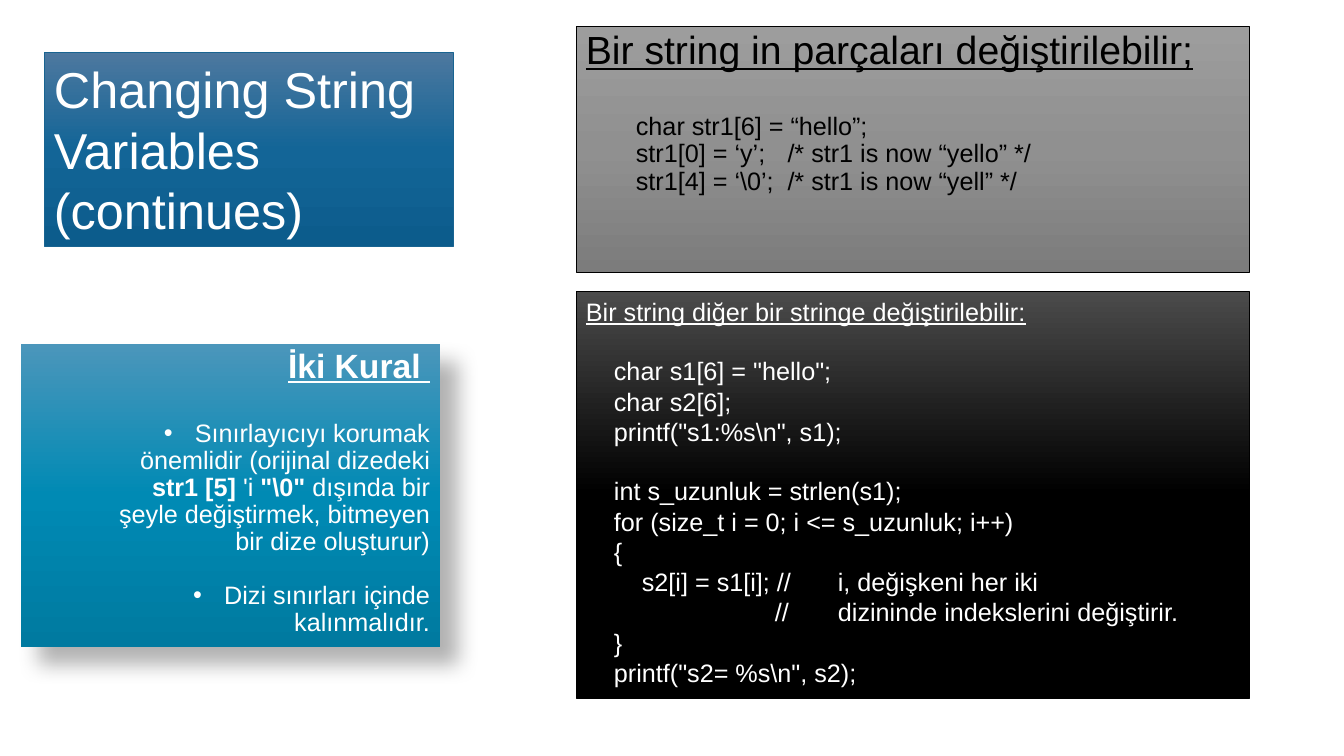
from pptx import Presentation
from pptx import util as u
from pptx.dml.color import RGBColor
from pptx.enum import shapes, text
from pptx.oxml import parse_xml
from pptx.oxml.ns import nsdecls, qn

SCALE = u.Inches(1) / 100.8
FONT = "Arial"
WHITE, BLACK = "FFFFFF", "000000"


def px(n):
    return u.Emu(round(n * SCALE))


def color(hexa):
    return RGBColor.from_string(hexa)


def panel(slide, box, stops, line=None):
    """Add a rectangle shaded from top to bottom and return it."""
    shape = slide.shapes.add_shape(shapes.MSO_SHAPE.RECTANGLE, *map(px, box))
    marks = "".join(
        f'<a:gs pos="{i * 50000}"><a:srgbClr val="{stop}"/></a:gs>'
        for i, stop in enumerate(stops))
    shape._element.spPr.append(parse_xml(
        f'<a:gradFill {nsdecls("a")} rotWithShape="1"><a:gsLst>{marks}</a:gsLst>'
        '<a:lin ang="5400000" scaled="0"/></a:gradFill>'))
    if line:
        shape.line.color.rgb = color(line)
        shape.line.width = u.Pt(0.5)
    else:
        shape.line.fill.background()
    shape.shadow.inherit = False
    shape.text_frame.word_wrap = True
    shape.text_frame.vertical_anchor = text.MSO_ANCHOR.TOP
    return shape


def cast(shape):
    """Give the shape a soft shadow to the lower right."""
    shape._element.spPr.find(qn("a:effectLst")).append(parse_xml(
        f'<a:outerShdw {nsdecls("a")} blurRad="{u.Pt(15)}" dist="{u.Pt(18)}" '
        'dir="2700000" algn="tl" rotWithShape="0"><a:srgbClr val="000000">'
        '<a:alpha val="30000"/></a:srgbClr></a:outerShdw>'))


def para(shape, runs, size, ink, under=False, left=0, first=0, tab=None,
         gap=0, lead=1.0, align=text.PP_ALIGN.LEFT, bullet=False):
    """Add a paragraph; runs are (words, bold) pairs."""
    frame = shape.text_frame
    fresh = len(frame.paragraphs) == 1 and not frame.paragraphs[0].runs
    p = frame.paragraphs[0] if fresh else frame.add_paragraph()
    p.alignment, p.line_spacing = align, lead
    p.space_before = u.Pt(gap)
    props = p._p.get_or_add_pPr()
    props.set("marL", str(px(left)))
    props.set("indent", str(px(first)))
    if bullet:
        props.append(parse_xml(f'<a:buFont {nsdecls("a")} typeface="{FONT}"/>'))
        props.append(parse_xml(f'<a:buChar {nsdecls("a")} char="•"/>'))
    if tab:
        props.append(parse_xml(
            f'<a:tabLst {nsdecls("a")}><a:tab pos="{px(tab)}" algn="l"/></a:tabLst>'))
    for words, bold in runs:
        r = p.add_run()
        r.text = words
        r.font.name, r.font.size = FONT, u.Pt(size)
        r.font.bold, r.font.underline = bold, under
        r.font.color.rgb = color(ink)


def title(slide, box):
    shape = panel(slide, box, ("4D789F", "136597", "0C5C8C"), "196491")
    shape.text_frame.vertical_anchor = text.MSO_ANCHOR.MIDDLE
    para(shape, [("Changing String Variables (continues)", False)], 36, WHITE)


def rules(slide, box):
    shape = panel(slide, box, ("4B96BB", "008AB4", "007AA0"))
    cast(shape)
    look = dict(ink=WHITE, lead=0.9, align=text.PP_ALIGN.RIGHT)
    para(shape, [("İki Kural ", True)], 24, under=True, left=50, **look)
    items = (
        (25, [("Sınırlayıcıyı korumak önemlidir (orijinal dizedeki ", False),
              ("str1 [5]", True), (" 'i ", False), ('"\\0" ', True),
              ("dışında bir şeyle değiştirmek, bitmeyen bir dize oluşturur)", False)]),
        (19, [("Dizi sınırları içinde kalınmalıdır.", False)]),
    )
    for gap, runs in items:
        para(shape, runs, 18, left=82, first=-31, gap=gap, bullet=True, **look)


def parts(slide, box):
    """Panel on changing single characters."""
    shape = panel(slide, box, ("9D9D9D", "909090", "7C7C7C"), BLACK)
    para(shape, [("Bir string in parçaları değiştirilebilir;", False)], 28, BLACK,
         under=True, lead=0.9)
    code = (
        ("char str1[6] = “hello”;", None, 29),
        ("str1[0] = ‘y’;\t/* str1 is now “yello” */", 222, 0),
        ("str1[4] = ‘\\0’;\t/* str1 is now “yell” */", 216, 0),
    )
    for words, tab, gap in code:
        para(shape, [(words, False)], 18, BLACK, first=50, tab=tab, gap=gap, lead=0.9)


def whole(slide, box):
    """Panel on copying one string to another."""
    shape = panel(slide, box, ("4B4B4B", BLACK, BLACK), BLACK)
    para(shape, [("Bir string diğer bir stringe değiştirilebilir:", False)], 18, WHITE,
         under=True)
    step, blank = 28, 21
    code = (
        ('char s1[6] = "hello";', step, None, blank),
        ("char s2[6];", step, None, 0),
        ('printf("s1:%s\\n", s1);', step, None, 0),
        ("int s_uzunluk = strlen(s1);", step, None, blank),
        ("for (size_t i = 0; i <= s_uzunluk; i++)", step, None, 0),
        ("{", step, None, 0),
        ("s2[i] = s1[i]; //\ti, değişkeni her iki", 2 * step, 226, 0),
        ("//\tdizininde indekslerini değiştirir.", 189, 217, 0),
        ("}", step, None, 0),
        ('printf("s2= %s\\n", s2);', step, None, 0),
    )
    for words, first, tab, gap in code:
        para(shape, [(words, False)], 18, WHITE, first=first, tab=tab, gap=gap)


def main():
    deck = Presentation()
    deck.slide_width, deck.slide_height = px(1344), px(756)
    slide = deck.slides.add_slide(deck.slide_layouts[6])
    rules(slide, (21, 344, 419, 303))
    title(slide, (44, 52, 409, 194))
    parts(slide, (576, 26, 673, 246))
    whole(slide, (576, 291, 673, 407))
    deck.save("out.pptx")


if __name__ == "__main__":
    main()
